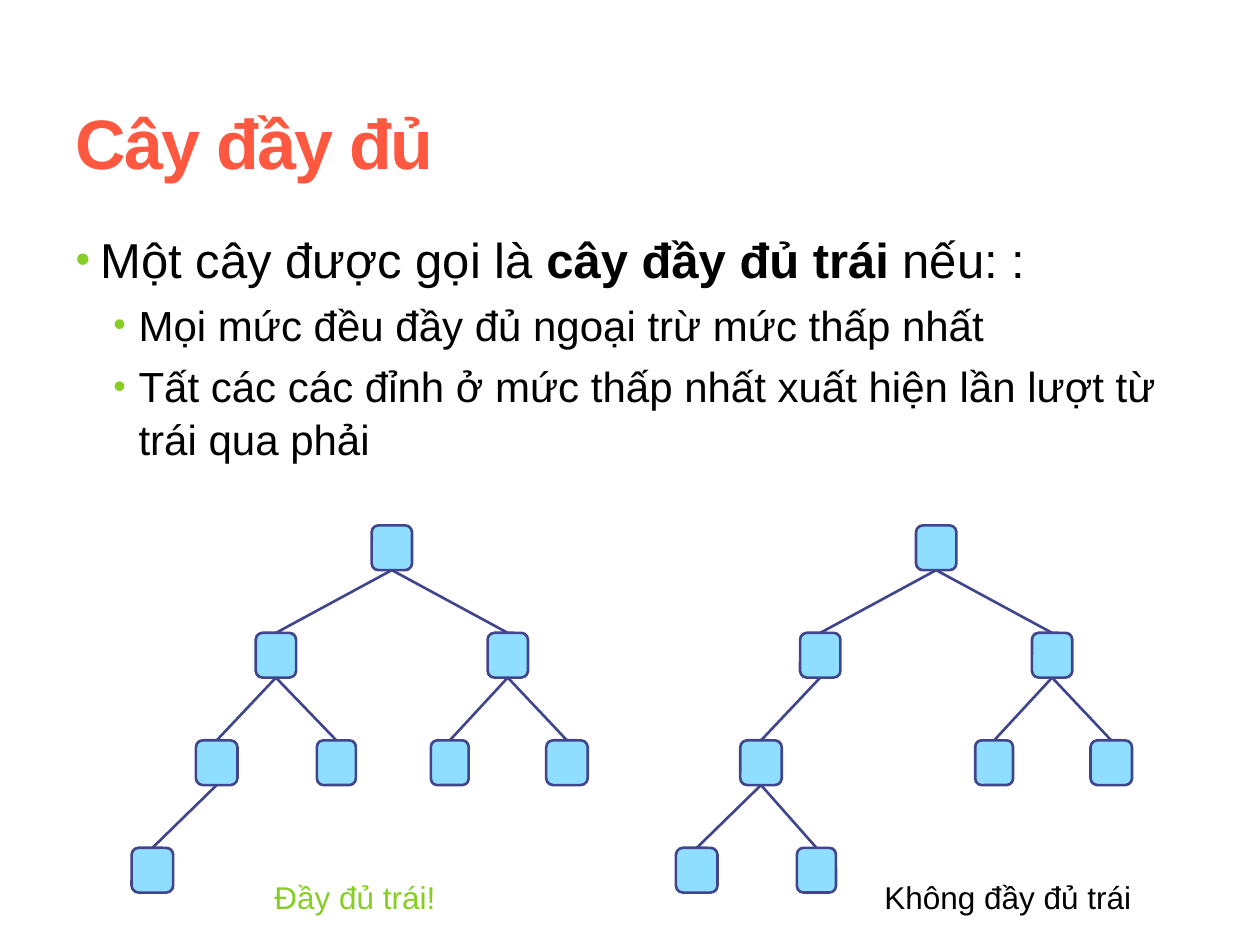
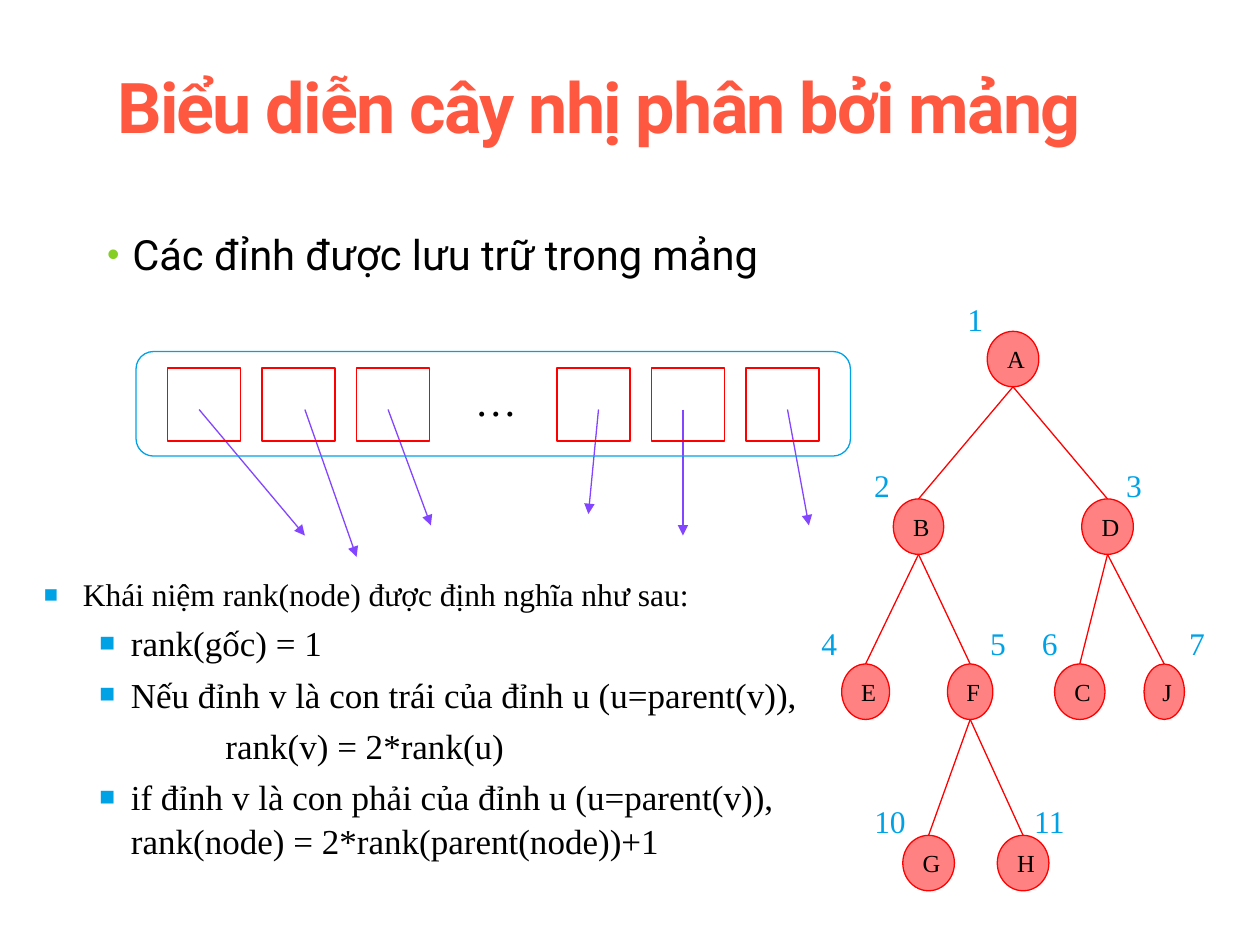
from dataclasses import dataclass

from lxml import etree
from pptx import Presentation
from pptx.dml.color import RGBColor
from pptx.enum.shapes import MSO_CONNECTOR, MSO_SHAPE
from pptx.enum.text import MSO_ANCHOR, MSO_AUTO_SIZE, PP_ALIGN
from pptx.oxml.ns import qn
from pptx.util import Inches, Pt

LEFT, MIDDLE, TOP = PP_ALIGN.LEFT, MSO_ANCHOR.MIDDLE, MSO_ANCHOR.TOP
ROUNDED, SQUARE, OVAL = MSO_SHAPE.ROUNDED_RECTANGLE, MSO_SHAPE.RECTANGLE, MSO_SHAPE.OVAL
STRAIGHT, FIXED_SIZE = MSO_CONNECTOR.STRAIGHT, MSO_AUTO_SIZE.NONE


@dataclass(frozen=True)
class Theme:
    title: str = "FF5840"
    text: str = "000000"
    green: str = "86CE24"
    cyan: str = "00A2E6"
    node_fill: str = "8FDEFF"
    node_line: str = "40458C"
    oval_fill: str = "FF8181"
    red: str = "FF0000"
    arrow: str = "8345FF"
    sans: str = "Arial"
    roboto: str = "Roboto"
    serif: str = "Times New Roman"
    title_size: float = 40
    lead_size: float = 28
    item_size: float = 24
    array_size: float = 23.8
    rule_size: float = 20
    note_size: float = 18
    letter_size: float = 14
    thick: float = 1.5
    thin: float = 0.75
    line_spacing: float = 1.05
    space_share: float = 0.2


THEME = Theme()

# Bullet styles: character, colour, size in percent
DOT = ("•", THEME.green, 85)
BLOCK = ("■", THEME.cyan, 75)

# Content of slide 1; list items are (level, margin, hanging, size, bullet, [(text, bold)])
COMPLETE_TITLE = "Cây đầy đủ"
COMPLETE_ITEMS = [
    (0, 0.2, 0.2, THEME.lead_size, DOT,
     [("Một cây được gọi là ", False), ("cây đầy đủ trái ", True), ("nếu: :", False)]),
    (1, 0.5, 0.2, THEME.item_size, DOT,
     [("Mọi mức đều đầy đủ ngoại trừ mức thấp nhất", False)]),
    (1, 0.5, 0.2, THEME.item_size, DOT,
     [("Tất các các đỉnh ở mức thấp nhất xuất hiện lần lượt từ trái qua phải", False)]),
]
# Rank: (distance from the root's centre, width)
NODE_PLACES = {
    1: (0, 0.32), 2: (-0.92, 0.32), 3: (0.92, 0.32),
    4: (-1.39, 0.33), 5: (-0.44, 0.31), 6: (0.46, 0.3), 7: (1.39, 0.33),
    8: (-1.9, 0.33), 9: (-0.95, 0.31),
}
# Root centre and ranks present
SHAPE_TREES = [(3.11, range(1, 9)), (7.43, (1, 2, 3, 4, 6, 7, 8, 9))]
CAPTIONS = [("Đầy đủ trái!", 2.08, 2.08, THEME.green),
            ("Không đầy đủ trái", 6.92, 2.33, THEME.text)]
SHAPE_TOP, SHAPE_STEP, SHAPE_HEIGHT = 4.17, 0.853, 0.355

# Content of slide 2
ARRAY_TITLE = "Biểu diễn cây nhị phân bởi mảng"
ARRAY_ITEMS = [(0, 0.2, 0.2, THEME.array_size, DOT,
                [("Các đỉnh được lưu trữ trong mảng", False)])]
RANK_ITEMS = [
    (0, 0.31, 0.31, THEME.note_size, BLOCK,
     [("Khái niệm rank(node) được định nghĩa như sau:", False)]),
    (1, 0.69, 0.25, THEME.rule_size, BLOCK, [("rank(gốc) = 1", False)]),
    (1, 0.69, 0.25, THEME.rule_size, BLOCK,
     [("Nếu đỉnh v là con trái của đỉnh u (u=parent(v)),", False)]),
    (1, 1.44, 0, THEME.rule_size, None, [("rank(v) = 2*rank(u)", False)]),
    (1, 0.69, 0.25, THEME.rule_size, BLOCK,
     [("if đỉnh v là con phải của đỉnh u (u=parent(v)),\v"
       "rank(node) = 2*rank(parent(node))+1", False)]),
]
# Rank: (letter, centre, width, left of the rank label)
LETTER_NODES = {
    1: ("A", 8.04, 0.41, 7.58),
    2: ("B", 7.29, 0.4, 6.84), 3: ("D", 8.79, 0.41, 8.84),
    4: ("E", 6.87, 0.38, 6.42), 5: ("F", 7.7, 0.36, 7.76),
    6: ("C", 8.57, 0.4, 8.17), 7: ("J", 9.24, 0.32, 9.34),
    10: ("G", 7.37, 0.41, 6.84), 11: ("H", 8.12, 0.41, 8.11),
}
LETTER_TOPS, LETTER_HEIGHT = (2.63, 3.96, 5.27, 6.63), 0.44
RANK_TOPS = (2.33, 3.65, 4.9, 6.32)
CELL_GROUPS, CELL_STEP, CELL_SIZE = (1.33, 4.42), 0.75, 0.58
# Pointers leave the cells at one height: (start x, tip x, tip y)
POINTER_TOP = 3.25
POINTERS = [(1.58, 2.42, 4.25), (2.42, 2.83, 4.42), (3.08, 3.42, 4.17),
            (4.75, 4.67, 4.08), (5.42, 5.42, 4.25), (6.25, 6.42, 4.17)]


def rgb(colour):
    return RGBColor.from_string(colour)


def lengths(*values):
    return [Inches(value) for value in values]


def style(font, **formats):
    font.color.rgb = rgb(formats.pop("colour"))
    for name, value in formats.items():
        setattr(font, name, value)


def add_bullet(para, bullet):
    props = para._p.get_or_add_pPr()
    if bullet is None:
        etree.SubElement(props, qn("a:buNone"))
        return
    mark, colour, percent = bullet
    tint = etree.SubElement(props, qn("a:buClr"))
    etree.SubElement(tint, qn("a:srgbClr"), val=colour)
    etree.SubElement(props, qn("a:buSzPct"), val=str(percent * 1000))
    etree.SubElement(props, qn("a:buFont"), typeface="Arial")
    etree.SubElement(props, qn("a:buChar"), char=mark)


def fill_list(box, items, face):
    frame = box.text_frame
    frame.word_wrap, frame.auto_size, frame.vertical_anchor = True, FIXED_SIZE, TOP
    for index, (level, margin, hanging, size, bullet, spans) in enumerate(items):
        para = frame.paragraphs[0] if index == 0 else frame.add_paragraph()
        para.level, para.alignment = level, LEFT
        props = para._p.get_or_add_pPr()
        props.set("marL", str(Inches(margin)))
        props.set("indent", str(-Inches(hanging)))
        add_bullet(para, bullet)
        para.line_spacing = THEME.line_spacing
        para.space_before = Pt(size * THEME.space_share if index else 0)
        for text, bold in spans:
            # A vertical tab in the text marks a line break
            for part, piece in enumerate(text.split("\v")):
                if part:
                    para.add_line_break()
                span = para.add_run()
                span.text = piece
                style(span.font, name=face, size=Pt(size), bold=bold, colour=THEME.text)


def place(box, at):
    box.left, box.top, box.width, box.height = lengths(*at)


def add_page(deck, title, title_at, items, body_at, face):
    page = deck.slides.add_slide(deck.slide_layouts[1])
    heading, body = page.shapes.title, page.placeholders[1]
    place(heading, title_at)
    place(body, body_at)
    frame = heading.text_frame
    frame.vertical_anchor, frame.auto_size = MIDDLE, FIXED_SIZE
    para = frame.paragraphs[0]
    para.alignment = LEFT
    span = para.add_run()
    span.text = title
    style(span.font, name=face, size=Pt(THEME.title_size), bold=True, colour=THEME.title)
    span._r.get_or_add_rPr().set("spc", "-100")
    fill_list(body, items, face)
    return page


def write(box, text, face, size, colour, wrap=False):
    box.text_frame.word_wrap = wrap
    para = box.text_frame.paragraphs[0]
    para.alignment = LEFT
    span = para.add_run()
    span.text = text
    style(span.font, name=face, size=Pt(size), colour=colour)


def add_label(page, at, *text_format, wrap=False):
    write(page.shapes.add_textbox(*lengths(*at)), *text_format, wrap=wrap)


def add_outline(page, kind, at, line, weight, fill=None):
    shape = page.shapes.add_shape(kind, *lengths(*at))
    shape.shadow.inherit = False
    shape.line.color.rgb, shape.line.width = rgb(line), Pt(weight)
    if fill:
        shape.fill.solid()
        shape.fill.fore_color.rgb = rgb(fill)
    else:
        shape.fill.background()
    return shape


def add_line(page, start, end, colour, weight, arrow=False):
    line = page.shapes.add_connector(STRAIGHT, *lengths(*start, *end))
    line.line.color.rgb, line.line.width = rgb(colour), Pt(weight)
    if arrow:
        etree.SubElement(line.line._get_or_add_ln(), qn("a:tailEnd"), type="triangle")
    etree.SubElement(line._element.spPr, qn("a:effectLst"))


def add_tree(page, nodes, tops, height, kind, line, weight, fill):
    """Draw {rank: (centre, width)}; the parent of each rank is rank // 2."""
    shapes = {}
    for rank, (centre, width) in nodes.items():
        top = tops[rank.bit_length() - 1]
        if rank > 1:
            parent_bottom = tops[rank.bit_length() - 2] + height
            add_line(page, (nodes[rank // 2][0], parent_bottom), (centre, top), line, weight)
        at = (centre - width / 2, top, width, height)
        shapes[rank] = add_outline(page, kind, at, line, weight, fill)
    return shapes


def build_complete_trees(deck):
    page = add_page(deck, COMPLETE_TITLE, (0.5, 0.58, 9, 1.08),
                    COMPLETE_ITEMS, (0.5, 1.75, 9, 5.33), THEME.sans)
    tops = [SHAPE_TOP + SHAPE_STEP * level for level in range(4)]
    for root, ranks in SHAPE_TREES:
        nodes = {rank: (root + NODE_PLACES[rank][0], NODE_PLACES[rank][1]) for rank in ranks}
        add_tree(page, nodes, tops, SHAPE_HEIGHT, ROUNDED,
                 THEME.node_line, THEME.thick, THEME.node_fill)
    for text, left, width, colour in CAPTIONS:
        add_label(page, (left, 6.92, width, 0.4), text, THEME.sans,
                  THEME.note_size, colour, wrap=True)


def build_array(deck):
    page = add_page(deck, ARRAY_TITLE, (0.83, 0, 8.92, 1.67),
                    ARRAY_ITEMS, (0.75, 1.75, 5.75, 0.67), THEME.roboto)
    # Array with its pointers
    for start, tip, bottom in POINTERS:
        add_line(page, (start, POINTER_TOP), (tip, bottom), THEME.arrow, THEME.thin, arrow=True)
    add_outline(page, ROUNDED, (1.08, 2.79, 5.67, 0.83), THEME.cyan, THEME.thin)
    for left in CELL_GROUPS:
        for column in range(3):
            add_outline(page, SQUARE, (left + column * CELL_STEP, 2.92, CELL_SIZE, CELL_SIZE),
                        THEME.red, THEME.thin)
    add_label(page, (3.67, 2.92, 0.53, 0.5), "…", THEME.serif, THEME.item_size, THEME.text)
    # Definition of the rank
    fill_list(page.shapes.add_textbox(*lengths(0.25, 4.5, 6.58, 2.33)), RANK_ITEMS, THEME.serif)
    # Tree with letters and ranks
    nodes = {rank: (centre, width) for rank, (_, centre, width, _) in LETTER_NODES.items()}
    ovals = add_tree(page, nodes, LETTER_TOPS, LETTER_HEIGHT, OVAL,
                     THEME.red, THEME.thin, THEME.oval_fill)
    for rank, (letter, _, _, label_left) in LETTER_NODES.items():
        write(ovals[rank], letter, THEME.serif, THEME.letter_size, THEME.text)
        label_at = (label_left, RANK_TOPS[rank.bit_length() - 1], 0.33 if rank < 10 else 0.45, 0.4)
        add_label(page, label_at, str(rank), THEME.serif, THEME.note_size, THEME.cyan)


def main():
    deck = Presentation()
    deck.slide_width, deck.slide_height = lengths(10, 7.5)
    build_complete_trees(deck)
    build_array(deck)
    deck.save("out.pptx")


if __name__ == "__main__":
    main()
